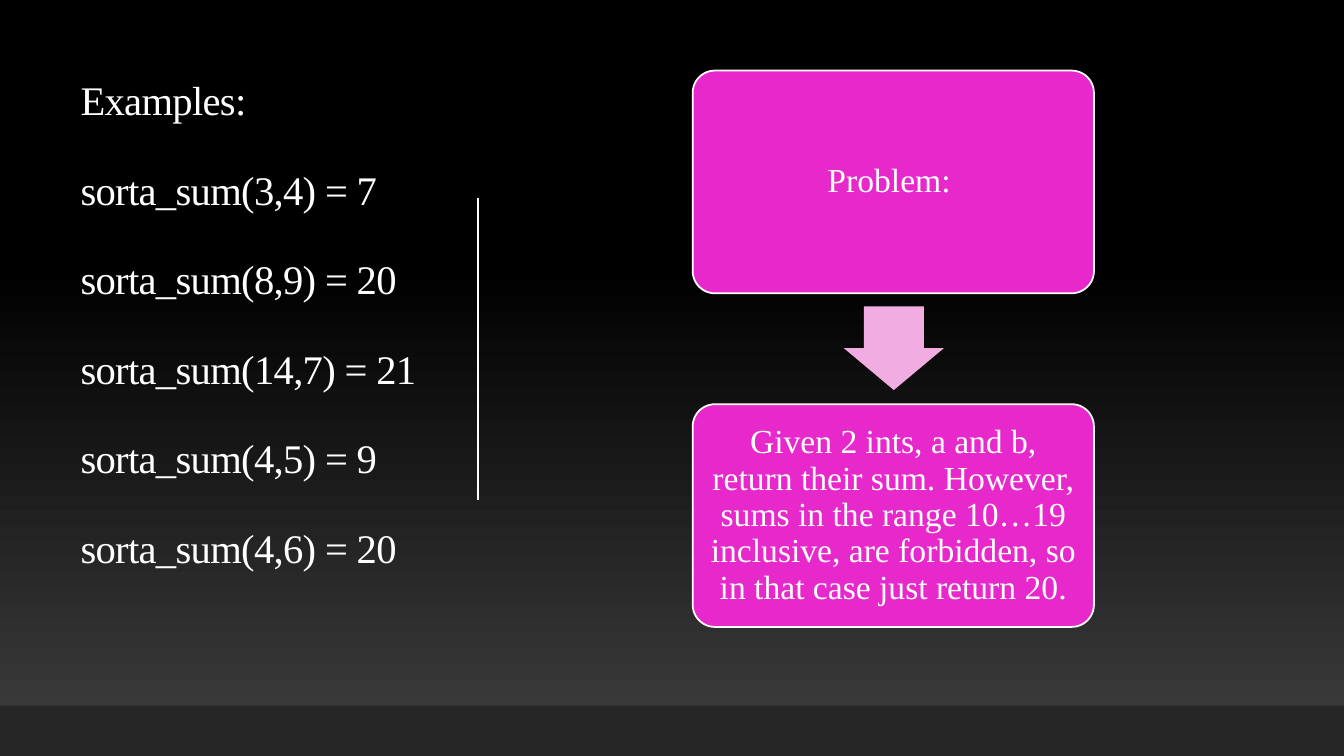
from pptx import Presentation
from pptx.dml.color import RGBColor
from pptx.enum.shapes import MSO_CONNECTOR, MSO_SHAPE
from pptx.enum.text import MSO_ANCHOR, PP_ALIGN
from pptx.oxml.ns import qn
from pptx.util import Inches, Pt

WHITE = RGBColor(0xFF, 0xFF, 0xFF)
BLACK = RGBColor(0x00, 0x00, 0x00)
GREY = RGBColor(0x3F, 0x3F, 0x3F)
FOOTER_GREY = RGBColor(0x26, 0x26, 0x26)
MAGENTA = RGBColor(0xE7, 0x29, 0xCC)
PINK = RGBColor(0xF1, 0xAD, 0xE2)

presentation = Presentation()
presentation.slide_width = Inches(13.33)
presentation.slide_height = Inches(7.5)
slide = presentation.slides.add_slide(presentation.slide_layouts[6])


def add_filled_shape(kind, left, top, width, height, color):
    shape = slide.shapes.add_shape(
        kind, Inches(left), Inches(top), Inches(width), Inches(height))
    shape.shadow.inherit = False
    shape.fill.solid()
    shape.fill.fore_color.rgb = color
    shape.line.fill.background()
    return shape


def add_text(paragraph, text, size):
    paragraph.line_spacing = 0.9
    run = paragraph.add_run()
    run.text = text
    run.font.size = Pt(size)
    run.font.name = "Times New Roman"
    run.font.color.rgb = WHITE
    return run


# Background: grey at the bottom, black from 65 % upwards
background = slide.background.fill
background.gradient()
background.gradient_angle = 90
for stop, color, position in zip(background.gradient_stops, (GREY, BLACK), (0, 0.65)):
    stop.color.rgb = color
    stop.position = position

# Examples
examples = ["Examples:", "sorta_sum(3,4) = 7", "sorta_sum(8,9) = 20",
            "sorta_sum(14,7) = 21", "sorta_sum(4,5) = 9", "sorta_sum(4,6) = 20"]
examples_box = slide.shapes.add_textbox(
    Inches(0.7), Inches(0.69), Inches(3.69), Inches(5.53))
frame = examples_box.text_frame
frame.word_wrap = True
frame.vertical_anchor = MSO_ANCHOR.MIDDLE
frame.margin_bottom = Inches(0.48)
for index, example in enumerate(examples):
    paragraph = frame.add_paragraph() if index else frame.paragraphs[0]
    if index:
        paragraph.space_before = Pt(32.6)
    run = add_text(paragraph, example, 29)
    run.font._element.set("spc", "-50")

# Divider
divider = slide.shapes.add_connector(
    MSO_CONNECTOR.STRAIGHT, Inches(4.74), Inches(1.96), Inches(4.74), Inches(4.96))
divider.line.color.rgb = WHITE
divider.line.width = Pt(1)
properties = divider._element.spPr
properties.append(properties.makeelement(qn("a:effectLst"), {}))

# Footer band
add_filled_shape(MSO_SHAPE.RECTANGLE, 0, 7, 13.33, 0.5, FOOTER_GREY)

# Problem cards
cards = [
    (0.7, "Problem: "),
    (4.01, "Given 2 ints, a and b, return their sum. However, sums in the range "
           "10…19 inclusive, are forbidden, so in that case just return 20."),
]
for top, text in cards:
    card = add_filled_shape(MSO_SHAPE.ROUNDED_RECTANGLE, 6.87, top, 3.98, 2.21, MAGENTA)
    card.adjustments[0] = 0.1
    card.line.color.rgb = WHITE
    card.line.width = Pt(1.25)
    frame = card.text_frame
    frame.word_wrap = True
    frame.vertical_anchor = MSO_ANCHOR.MIDDLE
    frame.margin_left = frame.margin_right = Inches(0.1)
    frame.margin_top = frame.margin_bottom = Inches(0.1)
    frame.paragraphs[0].alignment = PP_ALIGN.CENTER
    add_text(frame.paragraphs[0], text, 24)

# Arrow between the cards
arrow = add_filled_shape(MSO_SHAPE.DOWN_ARROW, 8.37, 3.04, 0.99, 0.83, PINK)
arrow.adjustments[0] = 0.6
arrow.adjustments[1] = 0.5

presentation.save("out.pptx")
